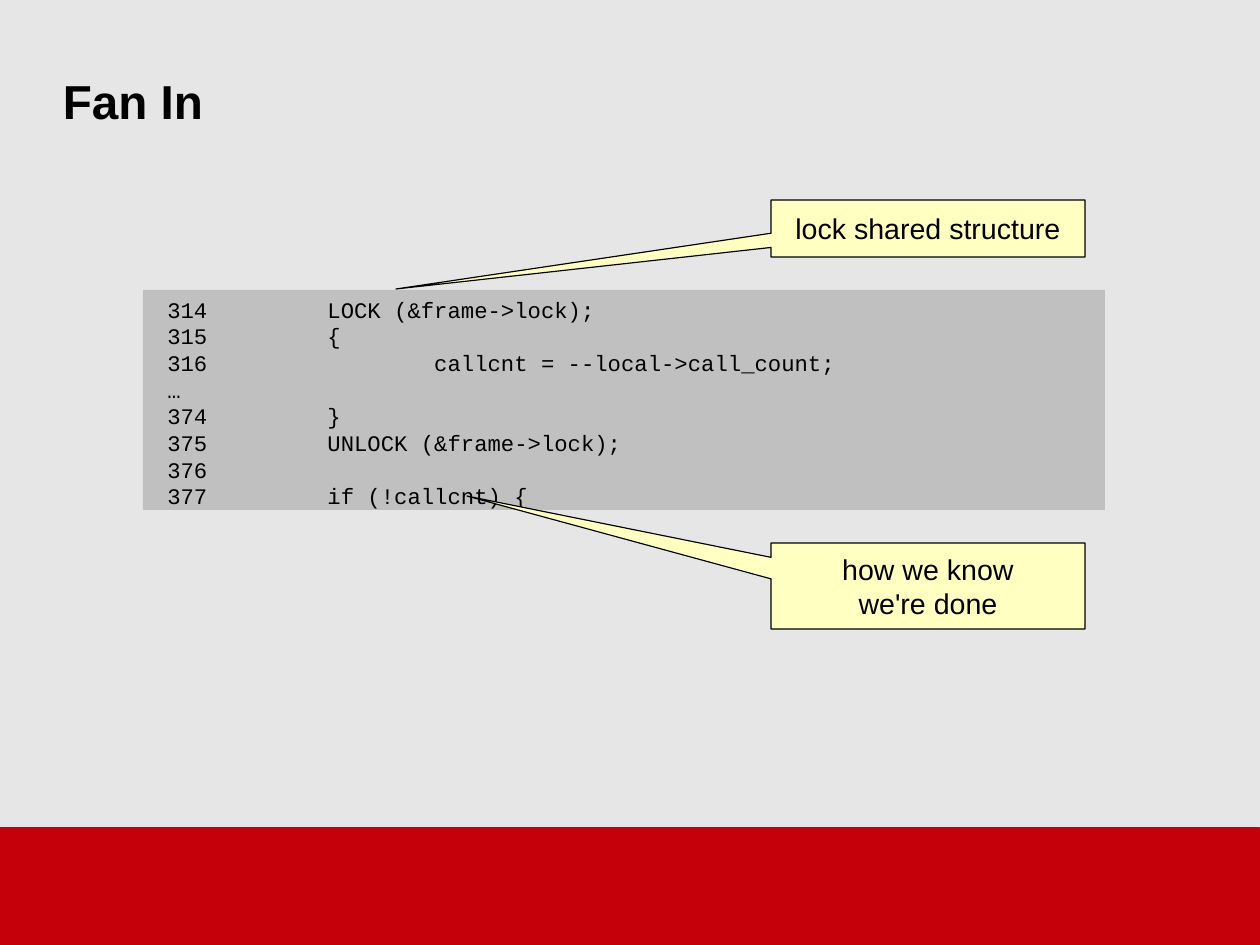
from pptx import Presentation
from pptx.dml.color import RGBColor
from pptx.enum.shapes import MSO_SHAPE as Preset
from pptx.enum.text import MSO_ANCHOR as Anchor, PP_ALIGN as Align
from pptx.util import Emu, Pt

PX = 8000

CODE = """\
 314         LOCK (&frame->lock);
 315         {
 316                 callcnt = --local->call_count;
 …
 374         }
 375         UNLOCK (&frame->lock);
 376
 377         if (!callcnt) {"""


def px(value):
    return Emu(value * PX)


def color(value):
    return RGBColor.from_string(value)


class SlideBuilder:
    background = "E6E6E6"
    ink = "000000"
    band_fill = "C5000B"
    code_fill = "C0C0C0"
    callout_fill = "FFFFC1"
    title_font = {"name": "Arial", "size": Pt(30), "bold": True}
    code_font = {"name": "Courier New", "size": Pt(14)}
    callout_font = {"name": "Arial", "size": Pt(18)}
    padding = (11, 6, 11, 6)

    def __init__(self, slide):
        self.slide = slide
        fill = slide.background.fill
        fill.solid()
        fill.fore_color.rgb = color(self.background)

    def add_text(self, shape, text, font, align, anchor, padding, wrap=True):
        frame = shape.text_frame
        left, top, right, bottom = map(px, padding)
        settings = {
            "margin_left": left, "margin_top": top,
            "margin_right": right, "margin_bottom": bottom,
            "vertical_anchor": anchor, "word_wrap": wrap,
        }
        for name, value in settings.items():
            setattr(frame, name, value)
        frame.text = text
        for paragraph in frame.paragraphs:
            paragraph.alignment = align
            for name, value in font.items():
                setattr(paragraph.font, name, value)
            paragraph.font.color.rgb = color(self.ink)

    def block(self, box, fill, line=None, preset=Preset.RECTANGLE):
        shape = self.slide.shapes.add_shape(preset, *map(px, box))
        shape.shadow.inherit = False
        shape.fill.solid()
        shape.fill.fore_color.rgb = color(fill)
        if line:
            shape.line.color.rgb = color(line)
            shape.line.width = Pt(0)
        else:
            shape.line.fill.background()
        return shape

    def band(self, box):
        self.block(box, self.band_fill, self.band_fill)

    def title(self, box, text):
        shape = self.slide.shapes.add_textbox(*map(px, box))
        self.add_text(shape, text, self.title_font, Align.LEFT, Anchor.MIDDLE, (0, 0, 0, 0))

    def code(self, box, text):
        shape = self.block(box, self.code_fill)
        self.add_text(shape, text, self.code_font, Align.LEFT, Anchor.TOP, self.padding)

    def callout(self, box, tip, text):
        left, top, width, height = box
        shape = self.block(box, self.callout_fill, self.ink, Preset.RECTANGULAR_CALLOUT)
        shape.adjustments[0] = (tip[0] - left) / width - 0.5
        shape.adjustments[1] = (tip[1] - top) / height - 0.5
        self.add_text(shape, text, self.callout_font, Align.CENTER, Anchor.MIDDLE,
                      self.padding, wrap=False)


def main():
    presentation = Presentation()
    presentation.slide_width = px(1260)
    presentation.slide_height = px(945)
    builder = SlideBuilder(presentation.slides.add_slide(presentation.slide_layouts[6]))
    builder.band((0, 828, 1260, 117))
    builder.title((63, 29, 1134, 143), "Fan In")
    builder.code((143, 290, 962, 220), CODE)
    builder.callout((771, 200, 314, 57), (396, 289), "lock shared structure")
    builder.callout((771, 543, 314, 86), (467, 496), "how we know\nwe're done")
    presentation.save("out.pptx")


if __name__ == "__main__":
    main()
